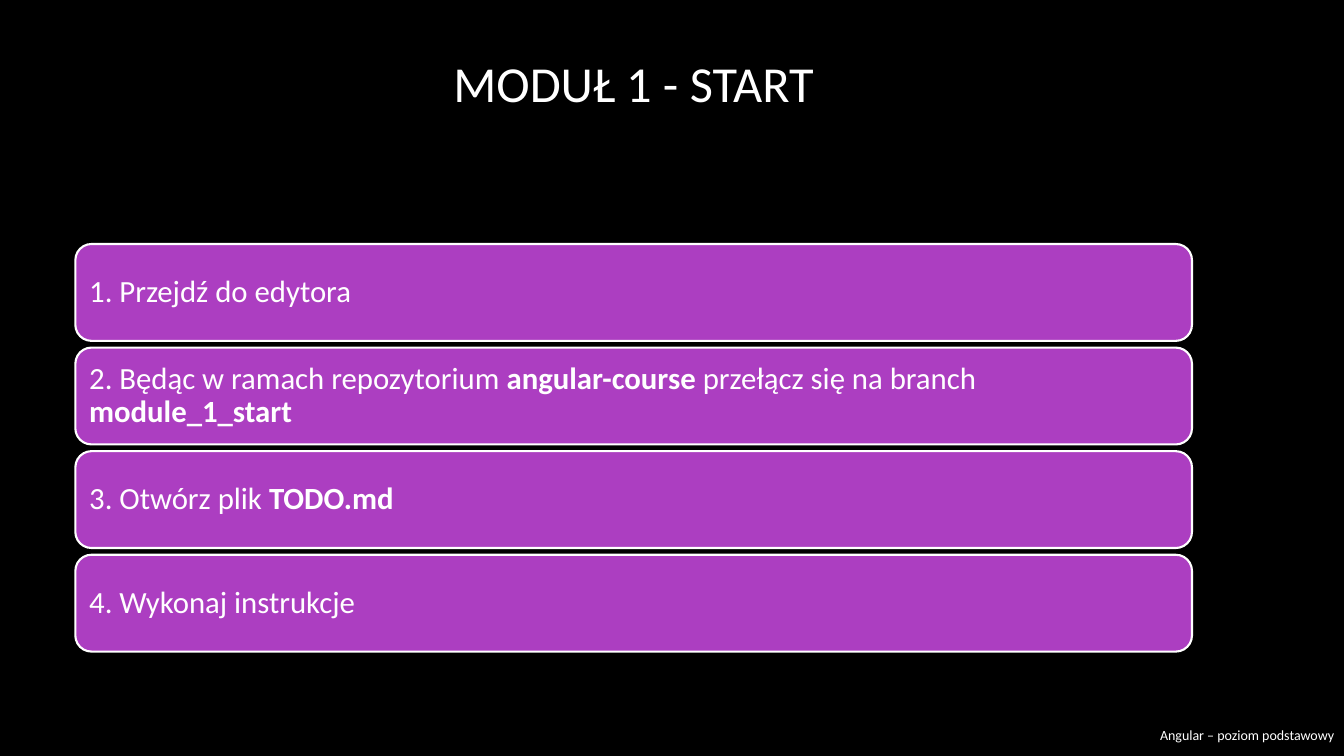
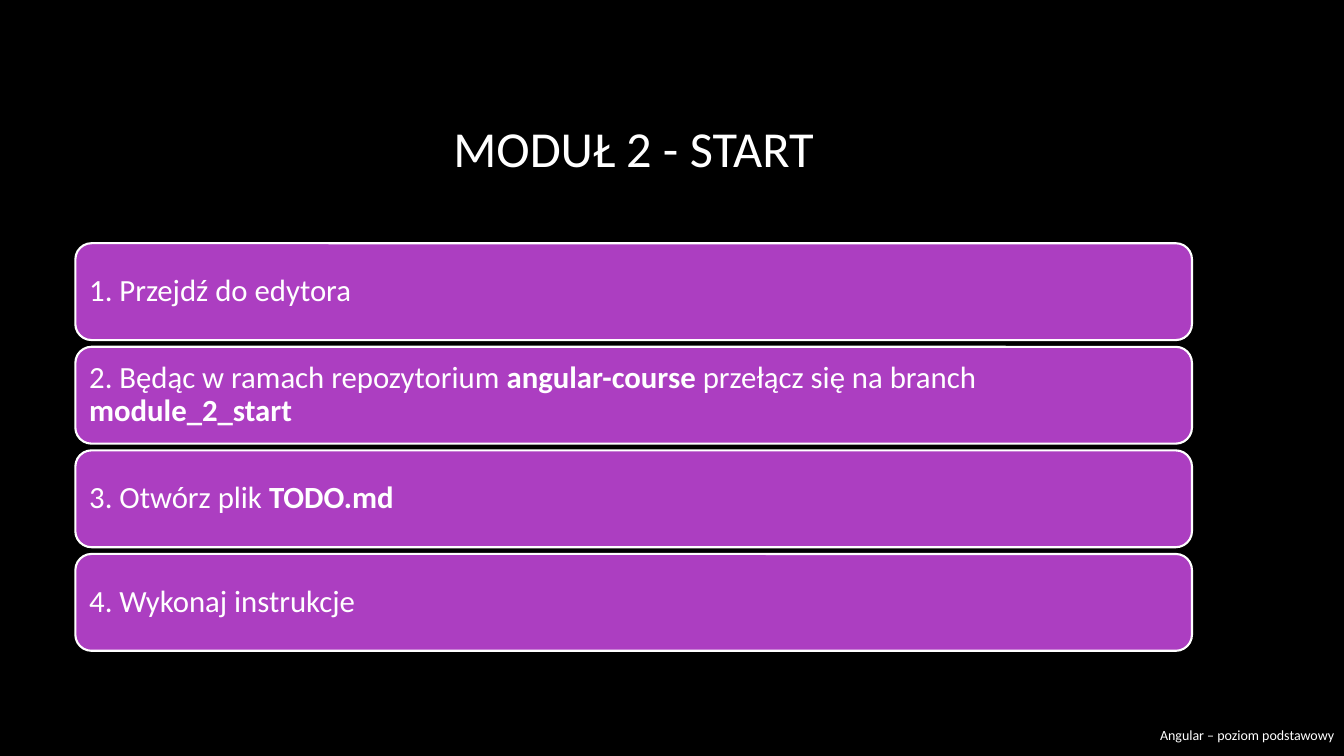
from pptx import Presentation
from pptx.dml.color import RGBColor
from pptx.enum.shapes import MSO_SHAPE as Shape
from pptx.enum.text import MSO_ANCHOR as Anchor, PP_ALIGN as Align
from pptx.util import Cm, Pt

# Content: each step is a list of (text, bold) runs
MODULES = [
    {"number": 1, "title_top": 0.05, "steps_top": 6.15},
    {"number": 2, "title_top": 1.7, "steps_top": 6.13},
]
FOOTER = "Angular – poziom podstawowy"


def module_steps(number):
    return [
        [("1. Przejdź do edytora", False)],
        [("2. Będąc w ramach repozytorium ", False), ("angular-course", True),
         (" przełącz się na branch ", False), (f"module_{number}_start", True)],
        [("3. Otwórz plik ", False), ("TODO.md", True)],
        [("4. Wykonaj instrukcje", False)],
    ]


# Shared style, lengths in centimetres
BLACK = RGBColor(0x00, 0x00, 0x00)
WHITE = RGBColor(0xFF, 0xFF, 0xFF)
PURPLE = RGBColor(0xAC, 0x3E, 0xC1)
FONT = "Calibri"
SLIDE_WIDTH, SLIDE_HEIGHT = 33.87, 19.05
LEFT, WIDTH = 1.9, 28.14
TITLE_HEIGHT = 4.04
STEP_HEIGHT, STEP_GAP, STEP_INSET = 2.44, 0.17, 0.23
FOOTER_WIDTH, FOOTER_HEIGHT = 5, 1.04


def write(shape, runs, size, align=Align.LEFT, spacing=1.0, inset=None):
    """Fill a shape with one paragraph of (text, bold) runs."""
    frame = shape.text_frame
    frame.word_wrap = True
    frame.vertical_anchor = Anchor.MIDDLE
    if inset is not None:
        frame.margin_left = frame.margin_right = Cm(inset)
        frame.margin_top = frame.margin_bottom = Cm(inset)
    paragraph = frame.paragraphs[0]
    paragraph.alignment = align
    paragraph.line_spacing = spacing
    for text, bold in runs:
        run = paragraph.add_run()
        run.text = text
        run.font.name = FONT
        run.font.size = Pt(size)
        run.font.bold = bold
        run.font.color.rgb = WHITE


def add_title(slide, text, top):
    title = slide.shapes.add_textbox(Cm(LEFT), Cm(top), Cm(WIDTH), Cm(TITLE_HEIGHT))
    write(title, [(text, False)], size=36, align=Align.CENTER)


def add_step(slide, runs, top):
    step = slide.shapes.add_shape(
        Shape.ROUNDED_RECTANGLE, Cm(LEFT), Cm(top), Cm(WIDTH), Cm(STEP_HEIGHT))
    step.shadow.inherit = False
    step.fill.solid()
    step.fill.fore_color.rgb = PURPLE
    step.line.color.rgb = WHITE
    step.line.width = Pt(1.5)
    write(step, runs, size=22, spacing=0.9, inset=STEP_INSET)


def add_footer(slide):
    footer = slide.shapes.add_textbox(
        Cm(SLIDE_WIDTH - FOOTER_WIDTH), Cm(SLIDE_HEIGHT - FOOTER_HEIGHT),
        Cm(FOOTER_WIDTH), Cm(FOOTER_HEIGHT))
    write(footer, [(FOOTER, False)], size=10, align=Align.RIGHT)


def add_module_slide(deck, number, title_top, steps_top):
    slide = deck.slides.add_slide(deck.slide_layouts[6])
    add_title(slide, f"MODUŁ {number} - START", title_top)
    for index, runs in enumerate(module_steps(number)):
        add_step(slide, runs, steps_top + index * (STEP_HEIGHT + STEP_GAP))
    add_footer(slide)


def main():
    deck = Presentation()
    deck.slide_width, deck.slide_height = Cm(SLIDE_WIDTH), Cm(SLIDE_HEIGHT)
    background = deck.slide_master.background.fill
    background.solid()
    background.fore_color.rgb = BLACK
    for module in MODULES:
        add_module_slide(deck, **module)
    deck.save("out.pptx")


if __name__ == "__main__":
    main()
